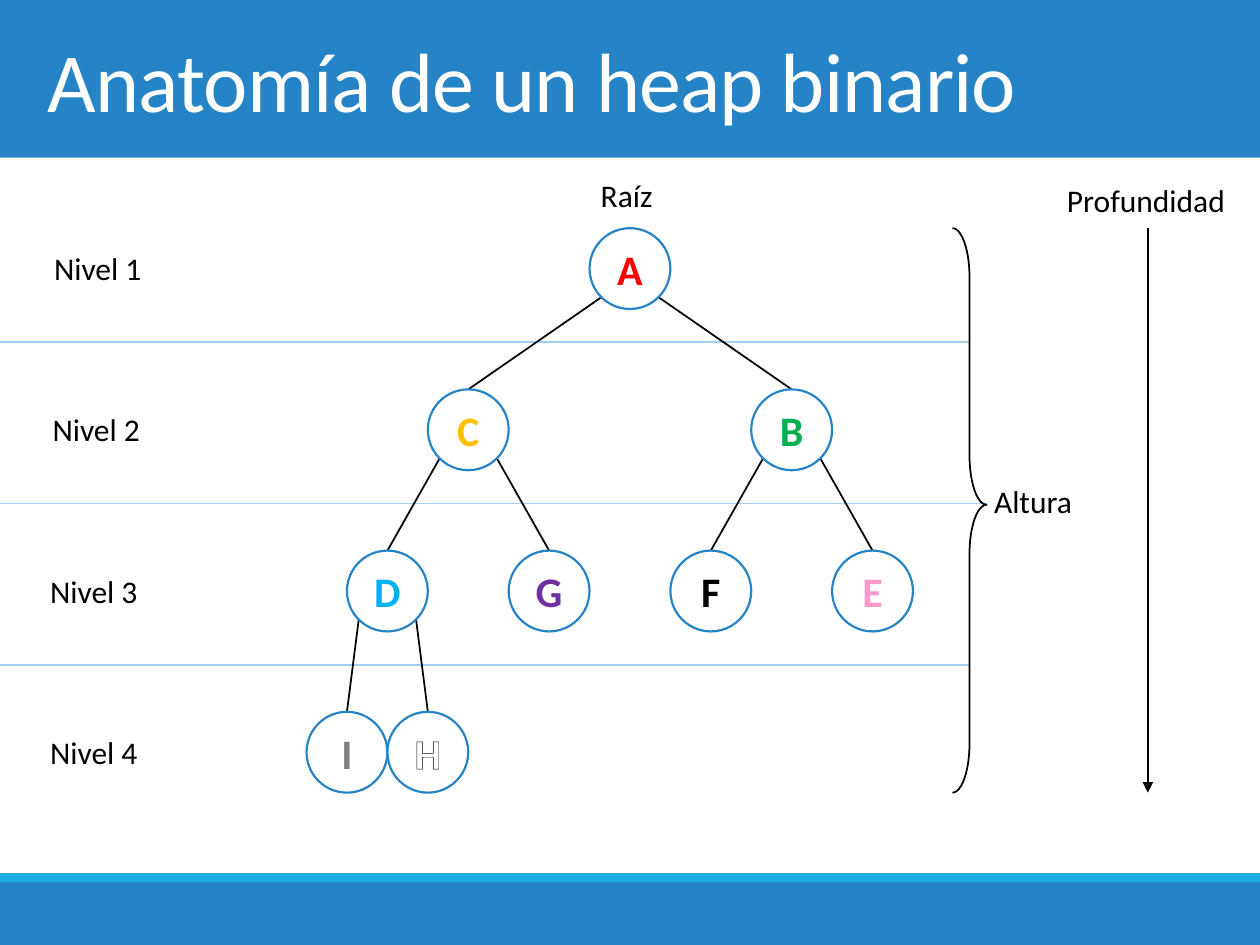
from lxml import etree
from pptx import Presentation
from pptx.dml.color import RGBColor
from pptx.enum.shapes import MSO_CONNECTOR, MSO_SHAPE
from pptx.enum.text import MSO_ANCHOR, MSO_AUTO_SIZE, PP_ALIGN
from pptx.oxml.ns import qn
from pptx.util import Cm, Pt

STRAIGHT = MSO_CONNECTOR.STRAIGHT
RECTANGLE, OVAL, BRACE = MSO_SHAPE.RECTANGLE, MSO_SHAPE.OVAL, MSO_SHAPE.RIGHT_BRACE
MIDDLE, LEFT, CENTER = MSO_ANCHOR.MIDDLE, PP_ALIGN.LEFT, PP_ALIGN.CENTER
FIT_SHAPE = MSO_AUTO_SIZE.SHAPE_TO_FIT_TEXT

BLUE = RGBColor(0x26, 0x83, 0xC6)
CYAN = RGBColor(0x1C, 0xAD, 0xE4)
PALE_BLUE = RGBColor(0xA3, 0xCE, 0xED)
WHITE = RGBColor(0xFF, 0xFF, 0xFF)
BLACK = RGBColor(0, 0, 0)
RED = RGBColor(0xFF, 0, 0)
GREEN = RGBColor(0, 0xB0, 0x50)
GOLD = RGBColor(0xFF, 0xC0, 0)
SKY = RGBColor(0, 0xB0, 0xF0)
PURPLE = RGBColor(0x70, 0x30, 0xA0)
PINK = RGBColor(0xFF, 0x99, 0xCC)
GRAY = RGBColor(0x80, 0x80, 0x80)

TITLE = "Anatomía de un heap binario"
BANDS = [(0, 3.18, BLUE), (17.78, 1.27, BLUE), (17.6, 0.18, CYAN)]
HEAP = [
    ("A", RED), ("C", GOLD), ("B", GREEN), ("D", SKY), ("G", PURPLE),
    ("F", BLACK), ("E", PINK), ("I", GRAY), ("H", WHITE),
]
LEVEL_LEFTS = [0.84, 0.81, 0.76, 0.76]
LABELS = [
    ("Raíz", 11.86, 3.43, 1.58),
    ("Altura", 19.79, 9.6, 2.1),
    ("Profundidad", 21.26, 3.53, 3.73),
]
SEPARATOR_ENDS = [19.56, 19.89, 19.56]

WIDTH, HEIGHT = 25.4, 19.05
TREE_TOP, LEVEL_STEP, DIAMETER = 4.6, 3.25, 1.63
TREE_HEIGHT = 3 * LEVEL_STEP + DIAMETER
ROOT_X, ROOT_SPREAD = 12.7, 3.26
DIAGONAL = DIAMETER / 2 * 0.71
BRACE_LEFT, BRACE_WIDTH, ARROW_X = 19.2, 0.69, 23.14


def write_text(frame, text, size, color, align=LEFT, bold=False):
    paragraph = frame.paragraphs[0]
    paragraph.alignment = align
    run = paragraph.add_run()
    run.text = text
    run.font.color.rgb = color
    for name, value in {"name": "Calibri", "size": Pt(size), "bold": bold}.items():
        setattr(run.font, name, value)
    return run


def add_shape(slide, kind, left, top, width, height, fill=None, line=None, weight=1):
    shape = slide.shapes.add_shape(kind, Cm(left), Cm(top), Cm(width), Cm(height))
    shape.shadow.inherit = False
    for part, color in ((shape.fill, fill), (shape.line.fill, line)):
        if color is None:
            part.background()
        else:
            part.solid()
            part.fore_color.rgb = color
    if line is not None:
        shape.line.width = Pt(weight)
    return shape


def add_line(slide, x1, y1, x2, y2, color=BLACK):
    line = slide.shapes.add_connector(STRAIGHT, Cm(x1), Cm(y1), Cm(x2), Cm(y2))
    line.line.color.rgb = color
    line.line.width = Pt(1)
    etree.SubElement(line._element.spPr, qn("a:effectLst"))
    return line


def add_label(slide, text, left, top, width):
    frame = slide.shapes.add_textbox(Cm(left), Cm(top), Cm(width), Cm(1.02)).text_frame
    frame.word_wrap = False
    frame.auto_size = FIT_SHAPE
    write_text(frame, text, 18, BLACK)


def outline_text(run):
    outline = etree.Element(qn("a:ln"), w=str(Pt(0.75)))
    fill = etree.SubElement(outline, qn("a:solidFill"))
    etree.SubElement(fill, qn("a:srgbClr"), val=str(BLACK))
    run.font._element.insert(0, outline)


def add_title(slide):
    title = slide.shapes.title
    box = {"left": 0.71, "top": 0, "width": 24, "height": 3.18}
    for name, value in box.items():
        setattr(title, name, Cm(value))
    title.text_frame.vertical_anchor = MIDDLE
    run = write_text(title.text_frame, TITLE, 48, WHITE)
    run.font._element.set("spc", "-50")


def add_tree(slide):
    centers = [(ROOT_X, TREE_TOP)]
    for index in range(1, len(HEAP)):
        parent_x, parent_top = centers[(index - 1) // 2]
        level = (index + 1).bit_length() - 1
        side = -1 if index % 2 else 1
        x = parent_x + side * ROOT_SPREAD / 2 ** (level - 1)
        top = TREE_TOP + level * LEVEL_STEP
        centers.append((x, top))
        start_y = parent_top + DIAMETER / 2 + DIAGONAL
        add_line(slide, parent_x + side * DIAGONAL, start_y, x, top)
    for (letter, color), (x, top) in zip(HEAP, centers):
        node = add_shape(slide, OVAL, x - DIAMETER / 2, top, DIAMETER, DIAMETER,
                         WHITE, BLUE, 1.25)
        node.text_frame.vertical_anchor = MIDDLE
        run = write_text(node.text_frame, letter, 24, color, CENTER, True)
        if color == WHITE:
            outline_text(run)


def main():
    presentation = Presentation()
    presentation.slide_width, presentation.slide_height = Cm(WIDTH), Cm(HEIGHT)
    slide = presentation.slides.add_slide(presentation.slide_layouts[5])
    for top, height, color in BANDS:
        add_shape(slide, RECTANGLE, 0, top, WIDTH, height, color)
    title_element = slide.shapes.title._element
    title_element.getparent().append(title_element)
    add_title(slide)

    for index, end in enumerate(SEPARATOR_ENDS):
        y = 6.9 + index * LEVEL_STEP
        add_line(slide, 0, y, end, y, PALE_BLUE)
    add_tree(slide)

    for index, left in enumerate(LEVEL_LEFTS):
        add_label(slide, f"Nivel {index + 1}", left, 4.9 + index * LEVEL_STEP, 2.29)
    for label in LABELS:
        add_label(slide, *label)

    brace = add_shape(slide, BRACE, BRACE_LEFT, TREE_TOP, BRACE_WIDTH, TREE_HEIGHT, line=BLACK)
    brace.adjustments[0], brace.adjustments[1] = 1.44, 0.49
    arrow = add_line(slide, ARROW_X, TREE_TOP, ARROW_X, TREE_TOP + TREE_HEIGHT)
    etree.SubElement(arrow.line._get_or_add_ln(), qn("a:tailEnd"), type="triangle")
    presentation.save("out.pptx")


if __name__ == "__main__":
    main()
